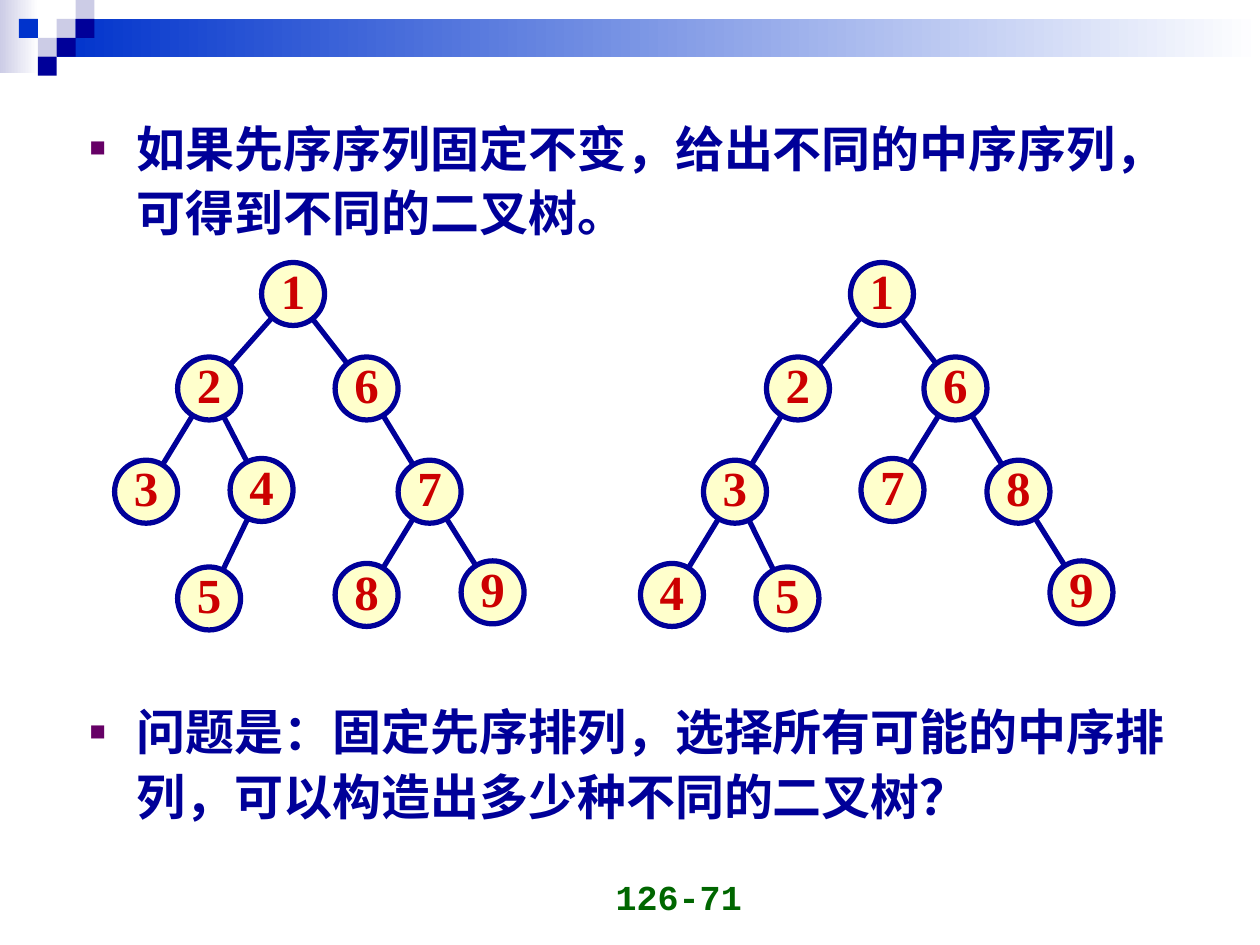
from math import hypot

from lxml.etree import SubElement
from pptx import Presentation
from pptx.dml.color import RGBColor
from pptx.enum.shapes import MSO_CONNECTOR, MSO_SHAPE
from pptx.enum.text import MSO_ANCHOR, MSO_AUTO_SIZE, PP_ALIGN
from pptx.oxml.ns import qn
from pptx.util import Pt

HUES = {
    "navy": "000099", "blue": "0033CC", "pale": "CCCCE6", "white": "FFFFFF",
    "cream": "FFFFCC", "red": "CC0000", "plum": "660066", "green": "006600",
}
POINTS = [
    ("如果先序序列固定不变，给出不同的中序序列，可得到不同的二叉树。", 5.2),
    ("问题是：固定先序排列，选择所有可能的中序排列，可以构造出多少种不同的二叉树？", 259.5),
]
SIZE = 36
GAP = 13
LEFT = {
    "nodes": {1: (84, 0), 2: (36, 54), 6: (126, 54), 3: (0, 113), 4: (66, 112),
              7: (162, 113), 5: (36, 174), 8: (126, 172), 9: (198, 170.5)},
    "edges": [(1, 2), (1, 6), (2, 3), (2, 4), (6, 7), (4, 5), (7, 8), (7, 9)],
}
RIGHT = {
    "nodes": {1: (120, 0), 2: (72, 54), 6: (162, 54), 3: (36, 113), 7: (126, 112),
              8: (198, 113), 4: (0, 172), 5: (66, 174), 9: (234, 170.5)},
    "edges": [(1, 2), (1, 6), (2, 3), (6, 7), (6, 8), (3, 4), (3, 5), (8, 9)],
}


def hue(name):
    """Return the named colour."""
    return RGBColor.from_string(HUES[name])


def style(para, face, size, name):
    """Set the bold font of a paragraph."""
    font = para.font
    font.name, font.size, font.bold = face, Pt(size), True
    font.color.rgb = hue(name)


def block(slide, kind, box, name, fade=False):
    """Add a shape without outline, plain or fading to white."""
    shape = slide.shapes.add_shape(kind, *map(Pt, box))
    shape.shadow.inherit = False
    shape.line.fill.background()
    if fade:
        shape.fill.gradient()
        shape.fill.gradient_angle = 0
        for stop, tint in zip(shape.fill.gradient_stops, (name, "white")):
            stop.color.rgb = hue(tint)
    else:
        shape.fill.solid()
        shape.fill.fore_color.rgb = hue(name)
    return shape


def banner(slide, left, top, width):
    """Draw the fading bars and the chequered corner."""
    block(slide, MSO_SHAPE.RECTANGLE, (left, top, 22, 42), "pale", True)
    block(slide, MSO_SHAPE.RECTANGLE,
          (left + 32.5, top + 10.8, width - 32.5, 21.6), "blue", True)
    tiles = [(3, 1, "pale"), (4, 0, "pale"), (4, 1, "navy"), (2, 2, "pale"),
             (1, 1, "blue"), (3, 2, "navy"), (2, 3, "navy")]
    side = 10.8
    for col, row, name in tiles:
        box = (left + col * side, top + row * side, side, side)
        block(slide, MSO_SHAPE.RECTANGLE, box, name)


def bullet(para):
    """Give a paragraph a small square bullet and a hanging indent."""
    props = para._p.get_or_add_pPr()
    props.set("marL", str(Pt(27)))
    props.set("indent", str(-Pt(27)))
    tint = SubElement(props, qn("a:buClr"))
    SubElement(tint, qn("a:srgbClr"), val=HUES["plum"])
    SubElement(props, qn("a:buSzPct"), val="55000")
    SubElement(props, qn("a:buFont"), typeface="Arial")
    SubElement(props, qn("a:buChar"), char="■")


def body(slide, left, top, width, height):
    """Fill the body placeholder with the two points."""
    hold = slide.placeholders[1]
    hold.left, hold.top, hold.width, hold.height = map(Pt, (left, top, width, height))
    frame = hold.text_frame
    frame.auto_size = MSO_AUTO_SIZE.NONE
    for i, (text, space) in enumerate(POINTS):
        para = frame.add_paragraph() if i else frame.paragraphs[0]
        para.text = text
        para.line_spacing, para.space_before = 1.1, Pt(space)
        bullet(para)
        style(para, "Arial", 28, "navy")


def edge(slide, start, end):
    """Join two node centres, stopping short of both."""
    (ax, ay), (bx, by) = start, end
    part = GAP / hypot(bx - ax, by - ay)
    dx, dy = (bx - ax) * part, (by - ay) * part
    ends = map(Pt, (ax + dx, ay + dy, bx - dx, by - dy))
    line = slide.shapes.add_connector(MSO_CONNECTOR.STRAIGHT, *ends)
    line.line.color.rgb = hue("navy")
    line.line.width = Pt(3)
    SubElement(line._element.spPr, qn("a:effectLst"))


def node(slide, left, top, label):
    """Draw one numbered circle."""
    shape = block(slide, MSO_SHAPE.OVAL, (left, top, SIZE, SIZE), "cream")
    shape.line.color.rgb = hue("navy")
    shape.line.width = Pt(3)
    frame = shape.text_frame
    frame.word_wrap = False
    frame.vertical_anchor = MSO_ANCHOR.MIDDLE
    frame.margin_left = frame.margin_right = frame.margin_top = 0
    frame.margin_bottom = Pt(5)
    para = frame.paragraphs[0]
    para.text = str(label)
    para.alignment = PP_ALIGN.CENTER
    style(para, "Times New Roman", 28, "red")


def tree(slide, left, top, plan):
    """Draw a binary tree, its edges behind its nodes."""
    spots = {key: (left + x, top + y) for key, (x, y) in plan["nodes"].items()}
    mids = {key: (x + SIZE / 2, y + SIZE / 2) for key, (x, y) in spots.items()}
    for head, child in plan["edges"]:
        edge(slide, mids[head], mids[child])
    for key, (x, y) in spots.items():
        node(slide, x, y, key)


def footer(slide, left, top, width, height):
    """Write the page number."""
    box = slide.shapes.add_textbox(*map(Pt, (left, top, width, height)))
    frame = box.text_frame
    frame.word_wrap = True
    frame.vertical_anchor = MSO_ANCHOR.BOTTOM
    para = frame.paragraphs[0]
    para.text = "126-71"
    para.alignment = PP_ALIGN.RIGHT
    style(para, "Courier New", 20, "green")


def main():
    """Build the slide and save it."""
    deck = Presentation()
    deck.slide_width, deck.slide_height = Pt(720), Pt(540)
    slide = deck.slides.add_slide(deck.slide_layouts[1])
    title = slide.shapes.title._element
    title.getparent().remove(title)
    banner(slide, 0, 0, 720)
    body(slide, 44, 60.5, 648, 448)
    tree(slide, 65.5, 150, LEFT)
    tree(slide, 366, 150, RIGHT)
    footer(slide, 263, 492, 168, 36)
    deck.save("out.pptx")


if __name__ == "__main__":
    main()
